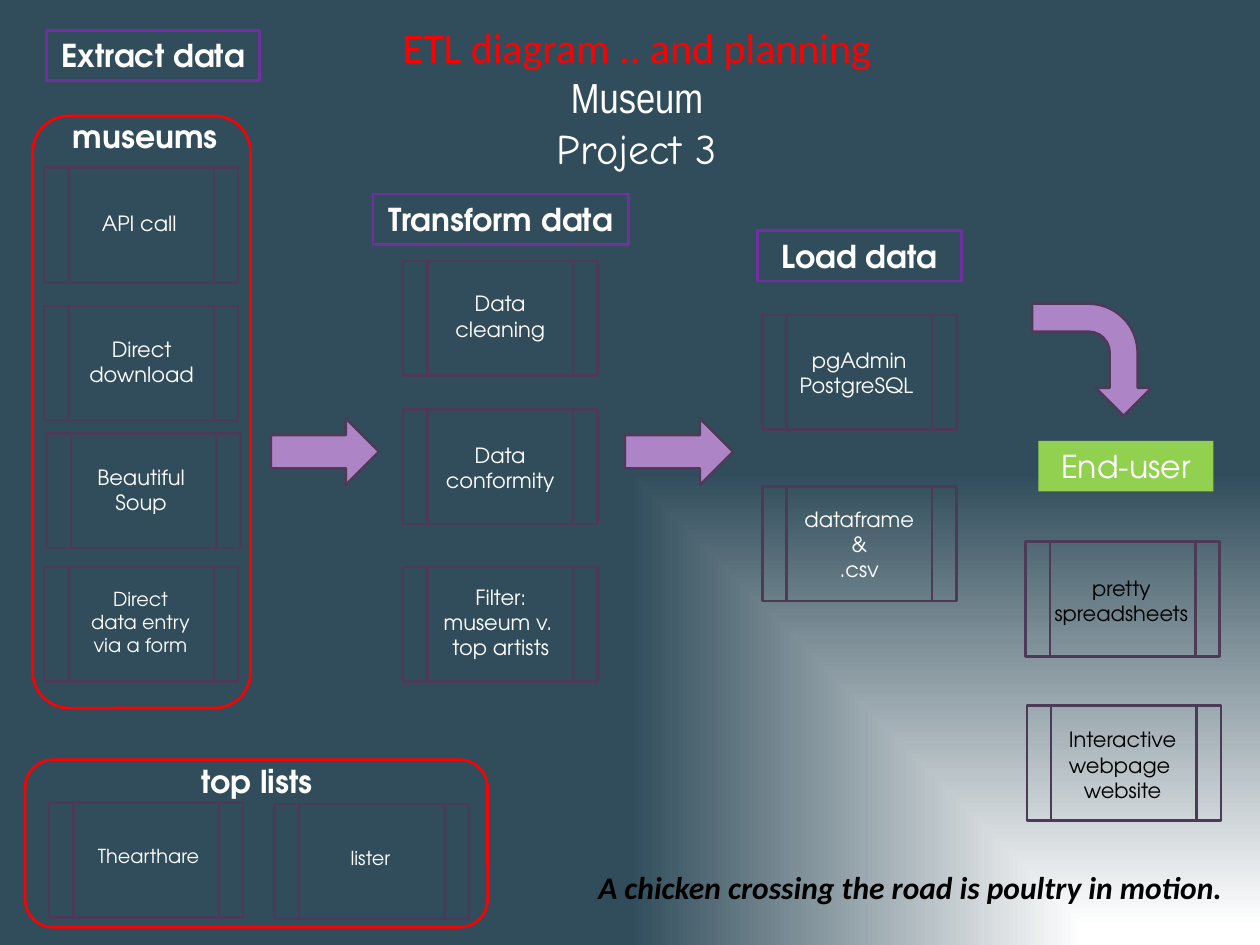
from pptx import Presentation
from pptx.dml.color import RGBColor
from pptx.enum.shapes import MSO_SHAPE
from pptx.enum.text import MSO_ANCHOR, MSO_AUTO_SIZE, PP_ALIGN
from pptx.oxml import parse_xml
from pptx.oxml.ns import nsdecls
from pptx.util import Inches, Pt

WHITE = RGBColor(0xFF, 0xFF, 0xFF)
BLACK = RGBColor(0, 0, 0)
RED = RGBColor(0xFF, 0, 0)
SLATE = RGBColor(0x31, 0x4D, 0x5B)
PLUM = RGBColor(0x4C, 0x3A, 0x57)
LILAC = RGBColor(0xAD, 0x84, 0xC6)
PURPLE = RGBColor(0x70, 0x30, 0xA0)
GREEN = RGBColor(0x92, 0xD0, 0x50)
FONT = "TeX Gyre Adventor"


class Board:
    def __init__(self, slide):
        self.slide = slide

    def back(self, stops):
        self.slide.background.fill.gradient()
        marks = "".join(
            f'<a:gs pos="{pos * 1000}"><a:srgbClr val="{color}"/></a:gs>'
            for pos, color in stops
        )
        grad = parse_xml(
            f'<a:gradFill {nsdecls("a")} rotWithShape="1"><a:gsLst>{marks}</a:gsLst>'
            '<a:path path="rect"><a:fillToRect l="100000" t="100000"/></a:path>'
            "</a:gradFill>"
        )
        old = self.slide.element.xpath(".//p:bgPr/a:gradFill")[0]
        old.getparent().replace(old, grad)

    def shape(self, kind, at, fill=None, line=PLUM):
        shape = self.slide.shapes.add_shape(kind, *map(Inches, at))
        shape.shadow.inherit = False
        if fill is None:
            shape.fill.background()
        else:
            shape.fill.solid()
            shape.fill.fore_color.rgb = fill
        if line is None:
            shape.line.fill.background()
        else:
            shape.line.color.rgb = line
            shape.line.width = Pt(1.5)
        return shape

    def words(self, shape, lines, size=12, color=WHITE, bold=False,
              italic=False, align=PP_ALIGN.CENTER, wrap=True, font=FONT):
        frame = shape.text_frame
        frame.word_wrap = wrap
        frame.auto_size = MSO_AUTO_SIZE.SHAPE_TO_FIT_TEXT
        frame.vertical_anchor = MSO_ANCHOR.TOP
        frame.text = "\n".join(lines)
        for para in frame.paragraphs:
            para.alignment = align
            para.font.name = font
            para.font.size = Pt(size)
            para.font.color.rgb = color
            para.font.bold = bold
            para.font.italic = italic
        return frame

    def text(self, at, lines, **style):
        return self.words(self.slide.shapes.add_textbox(*map(Inches, at)), lines, **style)

    def label(self, at, line, **style):
        self.text(at, [line], size=18, bold=True, align=PP_ALIGN.LEFT, wrap=False, **style)

    def head(self, left, top, width, line, fill=None, edge=PURPLE, bold=True):
        box = self.shape(MSO_SHAPE.RECTANGLE, (left, top, width, 0.4), fill, edge)
        self.words(box, [line], size=18, bold=bold)

    def step(self, left, top, at, lines, **style):
        self.shape(MSO_SHAPE.FLOWCHART_PREDEFINED_PROCESS, (left, top, 1.54, 0.91))
        self.text(at, lines, **style)

    def group(self, at):
        self.shape(MSO_SHAPE.ROUNDED_RECTANGLE, at, line=RED)

    def arrow(self, kind, at, turn=0):
        self.shape(kind, at, LILAC).rotation = turn


def main():
    deck = Presentation()
    deck.slide_width, deck.slide_height = Inches(10), Inches(7.5)
    board = Board(deck.slides.add_slide(deck.slide_layouts[6]))
    board.back([(0, WHITE), (4, WHITE), (100, SLATE)])

    title = board.text((3, 0.12, 4.11, 1.31),
                       ["ETL diagram .. and planning", "Museum", "Project 3"],
                       size=24, wrap=False)
    looks = [("Calibri", RED), ("Arial Narrow", WHITE), ("Comic Neue", WHITE)]
    for para, (font, color) in zip(title.paragraphs, looks):
        para.font.name = font
        para.font.color.rgb = color

    board.head(0.37, 0.24, 1.69, "Extract data")
    board.head(2.96, 1.54, 2.03, "Transform data")
    board.head(6.01, 1.83, 1.62, "Load data")
    board.head(8.24, 3.5, 1.39, "End-user", GREEN, None, False)

    board.group((0.26, 0.92, 1.73, 4.7))
    board.label((0.48, 0.88, 1.36, 0.4), "museums")
    board.step(0.35, 1.33, (0.71, 1.62, 0.8, 0.5), ["API call"],
               align=PP_ALIGN.LEFT, wrap=False)
    board.step(0.35, 2.43, (0.56, 2.62, 1.13, 0.5), ["Direct download"])
    board.step(0.37, 3.44, (0.52, 3.64, 1.2, 0.5), ["Beautiful Soup"])
    board.step(0.35, 4.5, (0.62, 4.61, 0.99, 0.66),
               ["Direct data entry via a form"], size=11)

    board.group((0.2, 6.03, 3.67, 1.33))
    board.label((1.5, 6, 1.09, 0.4), "top lists")
    board.step(0.39, 6.37, (0.63, 6.65, 1.1, 0.29), ["Thearthare"], size=11)
    board.step(2.18, 6.38, (2.39, 6.67, 1.1, 0.29), ["lister"], size=11)

    board.step(3.2, 2.07, (3.32, 2.26, 1.3, 0.5), ["Data", "cleaning"])
    board.step(3.2, 3.25, (3.37, 3.46, 1.2, 0.5), ["Data", "conformity"])
    board.step(3.2, 4.5, (3.14, 4.59, 1.67, 0.71),
               ["Filter:", "museum v. ", "top artists"])

    board.step(6.05, 2.5, (6.1, 2.71, 1.44, 0.5), ["pgAdmin", "PostgreSQL "])
    board.step(6.05, 3.86, (6.1, 3.97, 1.44, 0.71), ["dataframe", "&", ".csv"])

    board.step(8.14, 4.3, (8.18, 4.52, 1.44, 0.5), ["pretty spreadsheets"], color=BLACK)
    board.step(8.15, 5.6, (8.26, 5.72, 1.3, 0.71),
               ["Interactive webpage ", "website"], color=BLACK)

    for left in (2.15, 4.96):
        board.arrow(MSO_SHAPE.RIGHT_ARROW, (left, 3.32, 0.86, 0.53))
    board.arrow(MSO_SHAPE.BENT_ARROW, (8.22, 2.38, 0.89, 0.95), 90)

    board.label((4.65, 6.84, 5.21, 0.4),
                "A chicken crossing the road is poultry in motion.",
                color=BLACK, italic=True, font="Calibri")
    deck.save("out.pptx")


if __name__ == "__main__":
    main()
